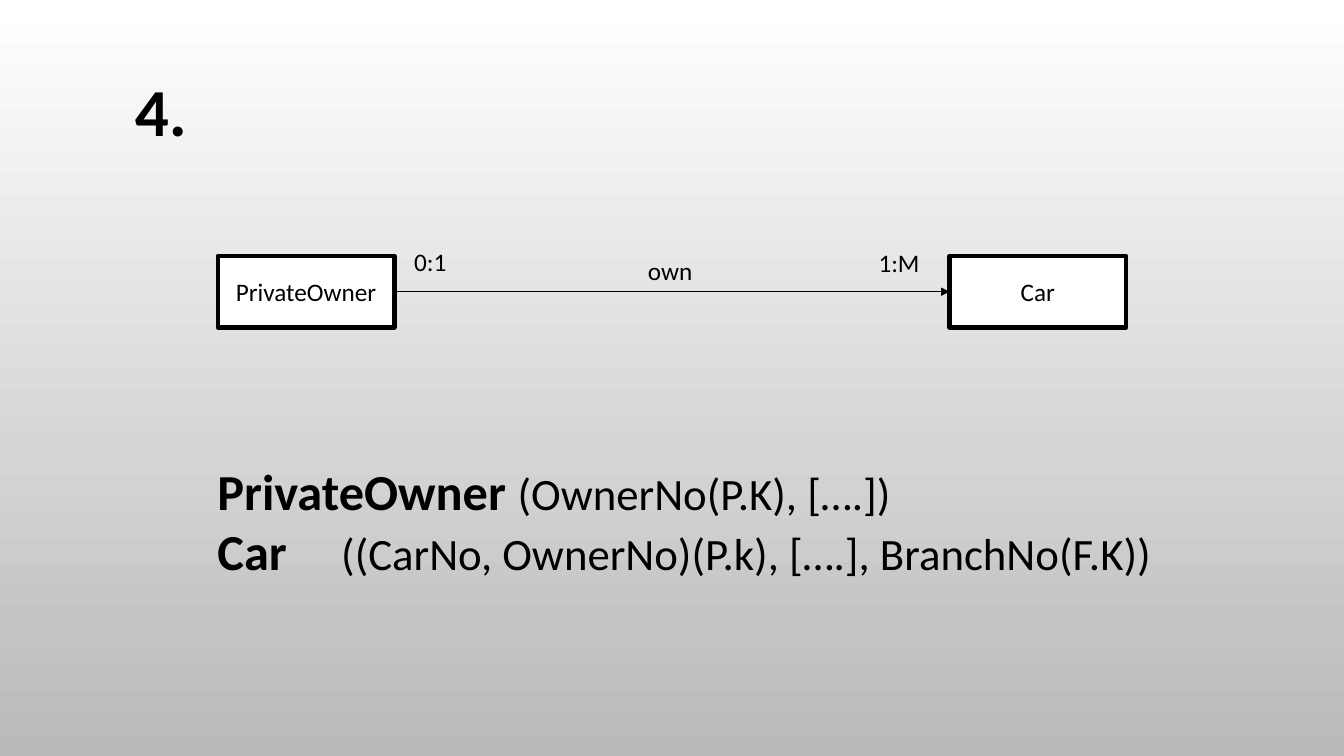
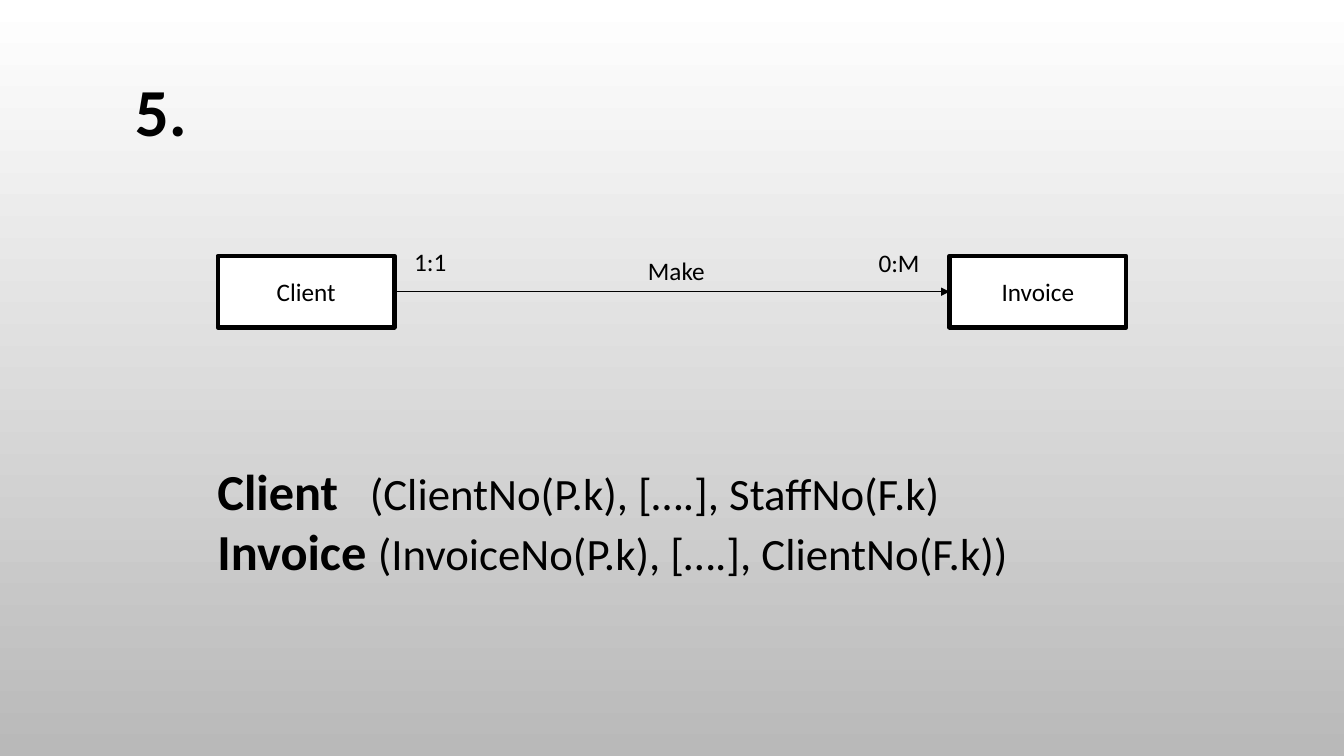
from dataclasses import dataclass

from lxml import etree
from pptx import Presentation, util as u
from pptx.dml.color import RGBColor
from pptx.enum import shapes, text
from pptx.oxml import ns

FONT = "Calibri"
BLACK, WHITE, GRAY = "000000", "FFFFFF", "B9B9B9"
TITLE_SIZE, NAME_SIZE, ATTRIBUTE_SIZE, DIAGRAM_SIZE = 48, 36, 32, 18


@dataclass(frozen=True)
class Box:
    left: float
    top: float
    width: float
    height: float

    def lengths(self) -> tuple:
        return tuple(u.Cm(v) for v in (self.left, self.top, self.width, self.height))


@dataclass(frozen=True)
class Relation:
    name: str
    attributes: str
    tab: float = 0


@dataclass(frozen=True)
class Answer:
    title: str
    source: Relation
    target: Relation
    source_count: str
    target_count: str
    verb: str


TITLE = Box(3.15, 1.63, 4.17, 2.62)
SOURCE = Box(5.49, 6.45, 4.45, 1.8)
TARGET = Box(23.93, 6.45, 4.45, 1.8)
SOURCE_COUNT = Box(10.19, 6.07, 1.5, 1.14)
TARGET_COUNT = Box(21.89, 6.12, 1.78, 1.14)
VERB = Box(16.08, 6.3, 2.11, 1.14)
SCHEMA = Box(5.23, 11.46, 27.2, 3.33)

ANSWERS = [
    Answer("4.",
           Relation("PrivateOwner", "(OwnerNo(P.K), [….])"),
           Relation("Car", "((CarNo, OwnerNo)(P.k), [….], BranchNo(F.K))", 3.12),
           "0:1", "1:M", "own"),
    Answer("5.",
           Relation("Client", "(ClientNo(P.k), [….], StaffNo(F.k)", 3.84),
           Relation("Invoice", "(InvoiceNo(P.k), [….], ClientNo(F.k))"),
           "1:1", "0:M", "Make"),
]


def color(value: str) -> RGBColor:
    return RGBColor.from_string(value)


def style_run(r, size: float, bold: bool = False) -> None:
    r.font.name = FONT
    r.font.size = u.Pt(size)
    r.font.bold = bold
    r.font.color.rgb = color(BLACK)


def set_background(master) -> None:
    fill = master.background.fill
    fill.gradient()
    fill.gradient_angle = 270
    for stop, position, value in zip(fill.gradient_stops, (0, 1), (WHITE, GRAY)):
        stop.position = position
        stop.color.rgb = color(value)


def add_text(parent, box: Box, content: str, size: float, bold: bool = False):
    sp = parent.shapes.add_textbox(*box.lengths())
    tf = sp.text_frame
    tf.word_wrap = True
    tf.text = content
    for p in tf.paragraphs:
        for r in p.runs:
            style_run(r, size, bold)
    return sp


def add_entity(parent, box: Box, name: str):
    sp = parent.shapes.add_shape(shapes.MSO_SHAPE.RECTANGLE, *box.lengths())
    sp.shadow.inherit = False
    sp.fill.solid()
    sp.fill.fore_color.rgb = color(WHITE)
    sp.line.color.rgb = color(BLACK)
    sp.line.width = u.Pt(3.15)
    tf = sp.text_frame
    tf.vertical_anchor = text.MSO_ANCHOR.MIDDLE
    tf.text = name
    p = tf.paragraphs[0]
    p.alignment = text.PP_ALIGN.CENTER
    style_run(p.runs[0], DIAGRAM_SIZE)
    return sp


def add_arrow(parent, source, target) -> None:
    cxn = parent.shapes.add_connector(shapes.MSO_CONNECTOR.STRAIGHT, 0, 0, 0, 0)
    cxn.begin_connect(source, 3)
    cxn.end_connect(target, 1)
    cxn.line.color.rgb = color(BLACK)
    cxn.line.width = u.Pt(0.9)
    etree.SubElement(cxn.line._get_or_add_ln(), ns.qn("a:tailEnd"), type="triangle")
    etree.SubElement(cxn._element.spPr, ns.qn("a:effectLst"))


def add_diagram(s, answer: Answer) -> None:
    group = s.shapes.add_group_shape()
    source = add_entity(group, SOURCE, answer.source.name)
    target = add_entity(group, TARGET, answer.target.name)
    add_arrow(group, source, target)
    for box, label in ((SOURCE_COUNT, answer.source_count),
                       (TARGET_COUNT, answer.target_count),
                       (VERB, answer.verb)):
        add_text(group, box, label, DIAGRAM_SIZE)


def add_schema(s, relations: list[Relation]) -> None:
    tf = add_text(s, SCHEMA, "\n".join(rel.name for rel in relations),
                  NAME_SIZE, True).text_frame
    for p, rel in zip(tf.paragraphs, relations):
        if rel.tab:
            tabs = etree.SubElement(p._p.get_or_add_pPr(), ns.qn("a:tabLst"))
            etree.SubElement(tabs, ns.qn("a:tab"), pos=str(u.Cm(rel.tab)), algn="l")
        p.runs[0].text = rel.name + ("\t" if rel.tab else " ")
        r = p.add_run()
        r.text = rel.attributes
        style_run(r, ATTRIBUTE_SIZE)


def add_answer(prs, answer: Answer) -> None:
    s = prs.slides.add_slide(prs.slide_layouts[6])
    add_text(s, TITLE, answer.title, TITLE_SIZE, True)
    add_diagram(s, answer)
    add_schema(s, [answer.source, answer.target])


def main() -> None:
    prs = Presentation()
    prs.slide_width, prs.slide_height = u.Cm(33.87), u.Cm(19.05)
    set_background(prs.slide_master)
    for answer in ANSWERS:
        add_answer(prs, answer)
    prs.save("out.pptx")


main()
